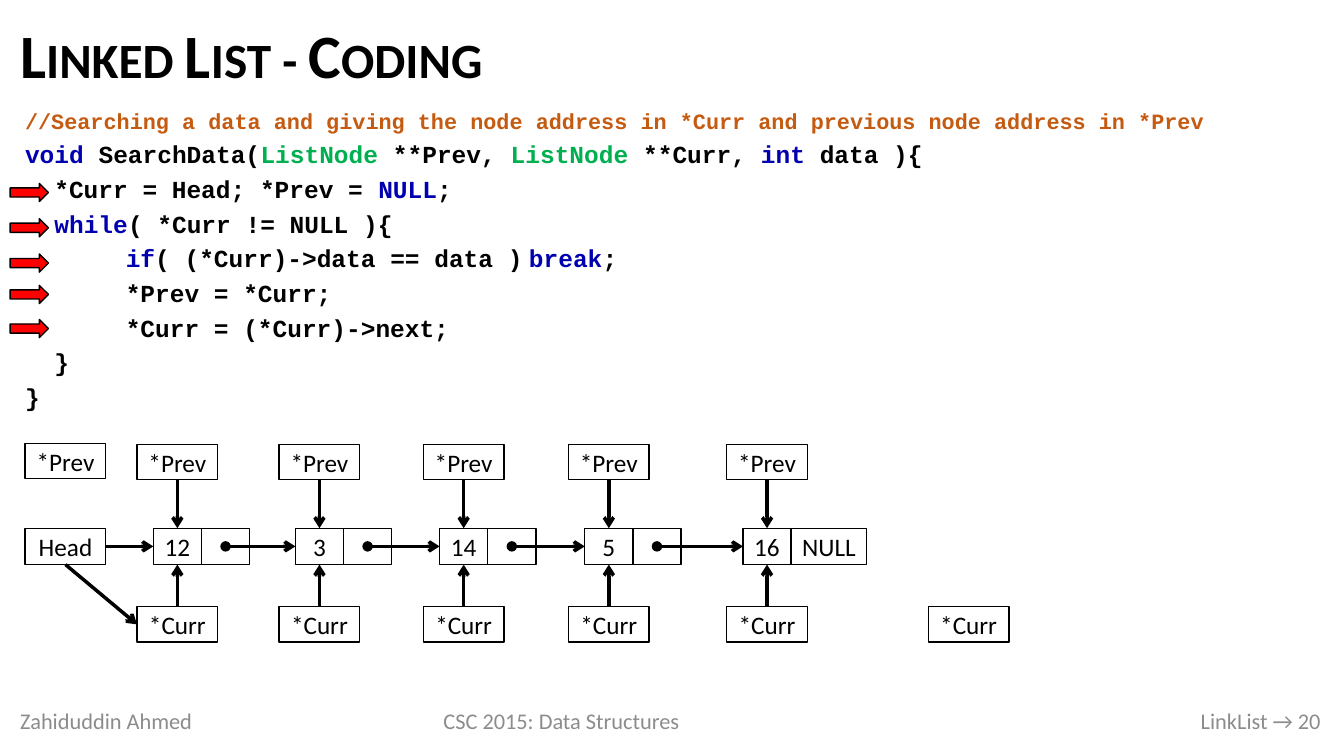
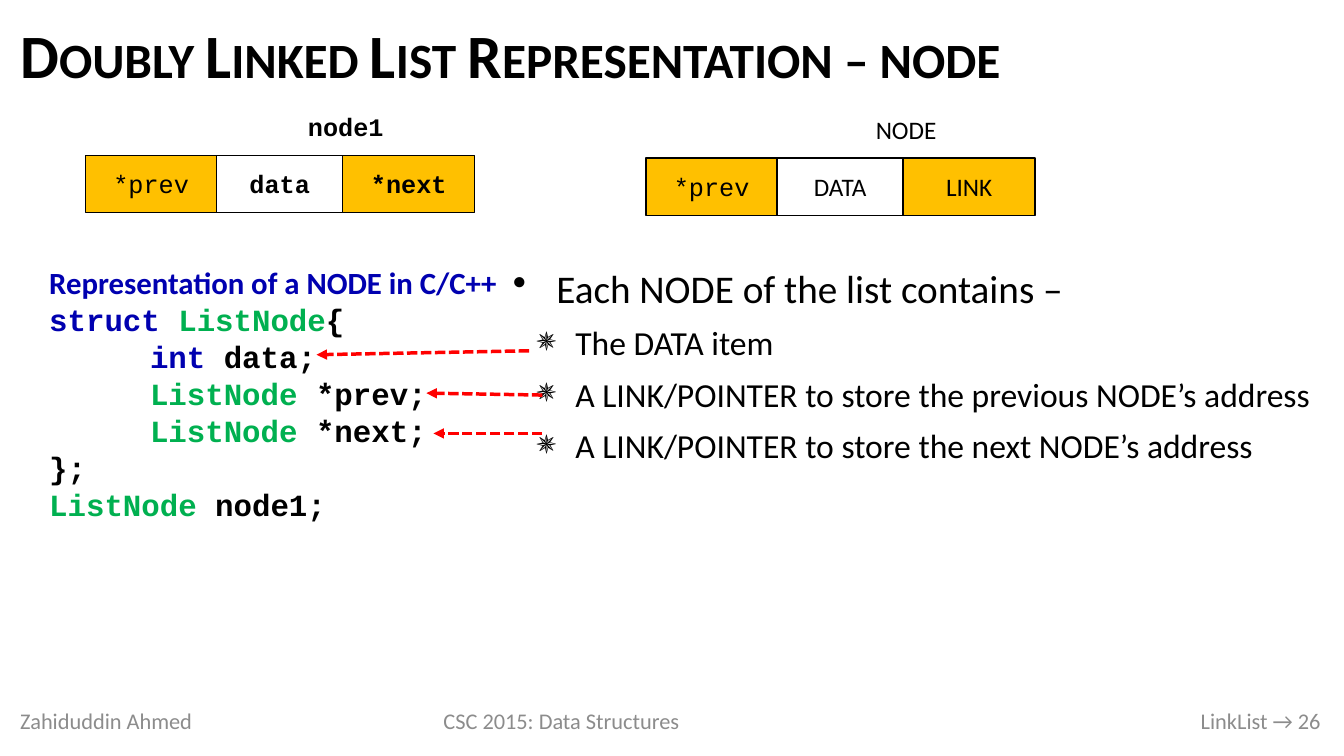
from dataclasses import dataclass
from typing import NamedTuple

from lxml.etree import SubElement
from pptx import Presentation
from pptx.dml.color import RGBColor
from pptx.enum.dml import MSO_LINE
from pptx.enum.shapes import MSO_CONNECTOR, MSO_SHAPE
from pptx.enum.text import MSO_ANCHOR, MSO_AUTO_SIZE, PP_ALIGN
from pptx.oxml.ns import qn
from pptx.util import Pt


@dataclass(frozen=True)
class Theme:
    """Colours, fonts and type sizes of the deck."""

    ink: RGBColor = RGBColor(0, 0, 0)
    white: RGBColor = RGBColor(255, 255, 255)
    gray: RGBColor = RGBColor(0x8C, 0x8C, 0x8C)
    blue: RGBColor = RGBColor(0, 0, 0xB0)
    green: RGBColor = RGBColor(0, 0xB0, 0x50)
    rust: RGBColor = RGBColor(0xC5, 0x5A, 0x11)
    red: RGBColor = RGBColor(255, 0, 0)
    gold: RGBColor = RGBColor(255, 0xC0, 0)
    sans: str = "Calibri"
    mono: str = "Courier New"
    title: float = 44
    lead: float = 28
    point: float = 24
    struct: float = 22
    label: float = 18
    code: float = 17.5
    foot: float = 16
    note: float = 15.6


THEME = Theme()


class Span(NamedTuple):
    """A run of text in one colour."""

    text: str
    color: RGBColor = THEME.ink


class Rect(NamedTuple):
    """A place on the slide, in points."""

    left: float
    top: float
    width: float
    height: float


@dataclass(frozen=True)
class Line:
    """One paragraph with its font and spacing."""

    spans: tuple[Span, ...]
    size: float = THEME.label
    font: str = THEME.sans
    bold: bool = False
    align: PP_ALIGN = PP_ALIGN.LEFT
    gap: float = 0
    pitch: float = 1
    tabs: tuple[float, ...] = ()
    bullet: str = ""
    margin: float = 0
    hang: float = 0


@dataclass(frozen=True)
class Cell:
    """One field of a drawn node."""

    text: str
    width: float
    fill: RGBColor | None = None
    font: str = THEME.sans
    bold: bool = False


def key(text: str) -> Span:
    """Colour a keyword."""
    return Span(text, THEME.blue)


def kind(text: str) -> Span:
    """Colour a type name."""
    return Span(text, THEME.green)


def points(rect: Rect) -> list[Pt]:
    """Turn a place into lengths."""
    return [Pt(value) for value in rect]


def fill_text(frame, lines: list[Line], anchor=MSO_ANCHOR.TOP) -> None:
    """Write paragraphs into a text frame."""
    frame.word_wrap = True
    frame.auto_size = MSO_AUTO_SIZE.NONE
    frame.vertical_anchor = anchor
    for index, line in enumerate(lines):
        para = frame.add_paragraph() if index else frame.paragraphs[0]
        props = para._p.get_or_add_pPr()
        if line.bullet:
            props.set("marL", str(Pt(line.margin)))
            props.set("indent", str(Pt(-line.hang)))
            SubElement(props, qn("a:buChar"), char=line.bullet)
        if line.tabs:
            stops = SubElement(props, qn("a:tabLst"))
            for stop in line.tabs:
                SubElement(stops, qn("a:tab"), pos=str(Pt(stop)), algn="l")
        para.alignment = line.align
        para.line_spacing = line.pitch
        para.space_before = Pt(line.gap if index else 0)
        para.space_after = Pt(line.gap)
        font = para.font
        font.name, font.size, font.bold = line.font, Pt(line.size), line.bold
        shades = {span.color for span in line.spans}
        if len(shades) == 1:
            font.color.rgb = shades.pop()
        for span in line.spans:
            run = para.add_run()
            run.text = span.text
            if len({item.color for item in line.spans}) > 1:
                run.font.color.rgb = span.color


def add_text(slide, rect: Rect, lines: list[Line], anchor=MSO_ANCHOR.TOP) -> None:
    """Add a text box."""
    fill_text(slide.shapes.add_textbox(*points(rect)).text_frame, lines, anchor)


def add_box(slide, rect: Rect, cell: Cell, form=MSO_SHAPE.RECTANGLE) -> None:
    """Add an outlined shape with a centred label."""
    shape = slide.shapes.add_shape(form, *points(rect))
    shape.shadow.inherit = False
    if cell.fill is None:
        shape.fill.background()
    else:
        shape.fill.solid()
        shape.fill.fore_color.rgb = cell.fill
    shape.line.color.rgb = THEME.ink
    shape.line.width = Pt(1)
    if cell.text:
        frame = shape.text_frame
        frame.margin_left = frame.margin_right = 0
        frame.margin_top = frame.margin_bottom = 0
        label = Line((Span(cell.text),), font=cell.font, bold=cell.bold,
                     align=PP_ALIGN.CENTER)
        fill_text(frame, [label], MSO_ANCHOR.MIDDLE)


def add_row(slide, left: float, top: float, height: float, cells: list[Cell]) -> None:
    """Draw cells side by side."""
    for cell in cells:
        add_box(slide, Rect(left, top, cell.width, height), cell)
        left += cell.width


def add_arrow(slide, start: tuple[float, float], end: tuple[float, float],
              color: RGBColor = THEME.ink, tip: str = "arrow",
              tail: str = "none", dash: bool = False) -> None:
    """Draw an arrow from start to end."""
    arrow = slide.shapes.add_connector(
        MSO_CONNECTOR.STRAIGHT, *(Pt(value) for value in (*start, *end)))
    arrow.line.color.rgb = color
    arrow.line.width = Pt(2.5)
    if dash:
        arrow.line.dash_style = MSO_LINE.SQUARE_DOT
    stroke = arrow.line._get_or_add_ln()
    SubElement(stroke, qn("a:headEnd"), type=tail)
    SubElement(stroke, qn("a:tailEnd"), type=tip)
    SubElement(arrow._element.spPr, qn("a:effectLst"))


def add_slide(deck, title: str, number: int):
    """Add a slide with its title and footer."""
    slide = deck.slides.add_slide(deck.slide_layouts[5])
    head = slide.shapes.title
    head.left, head.top, head.width, head.height = points(Rect(7.2, 7.9, 943.2, 68.4))
    fill_text(head.text_frame, [Line((Span(title),), THEME.title, bold=True, pitch=0.9)],
              MSO_ANCHOR.MIDDLE)
    head.text_frame.paragraphs[0].font._element.set("cap", "small")
    feet = [
        (7.2, 173.5, "Zahiduddin Ahmed", PP_ALIGN.LEFT),
        (280.1, 241.9, "CSC 2015: Data Structures", PP_ALIGN.CENTER),
        (555.1, 395.3, f"LinkList → {number}", PP_ALIGN.RIGHT),
    ]
    for left, width, text, align in feet:
        line = Line((Span(text, THEME.gray),), THEME.foot, align=align)
        add_text(slide, Rect(left, 500.4, width, 28.8), [line], MSO_ANCHOR.MIDDLE)
    return slide


def draw_search(deck) -> None:
    """Build the slide on searching a list."""
    slide = add_slide(deck, "Linked List - Coding", 20)
    note = Span("//Searching a data and giving the node address in *Curr "
                "and previous node address in *Prev", THEME.rust)
    code = [
        (note,),
        (key("void"), Span(" SearchData("), kind("ListNode"), Span(" **Prev, "),
         kind("ListNode"), Span(" **Curr, "), key("int"), Span(" data ){")),
        (Span("  *Curr = Head; *Prev = "), key("NULL"), Span(";")),
        (Span("  "), key("while"), Span("( *Curr != NULL ){")),
        (key("\tif"), Span("( (*Curr)->data == data )\t"), key("break"), Span(";")),
        (Span("\t*Prev = *Curr;"),),
        (Span("\t*Curr = (*Curr)->next;"),),
        (Span("  }"),),
        (Span("}"),),
    ]
    lines = [Line(spans, THEME.code if index else THEME.note, THEME.mono, True,
                  PP_ALIGN.JUSTIFY, gap=4, pitch=0.8, tabs=(72, 360))
             for index, spans in enumerate(code)]
    add_text(slide, Rect(10.8, 77, 938.9, 234), lines)

    wide, half, tall = 57.6, 34.4, 25.2
    top, high, above, below = 377.3, 26, 317.5, 433.4
    base, level = top + high, top + high / 2
    mids = [126.7, 228.2, 331.2, 434.9, 547.9]
    values = ["12", "3", "14", "5", "16"]
    white = THEME.white
    prev, curr = Cell("*Prev", wide, white), Cell("*Curr", wide, white)
    add_box(slide, Rect(18, top, wide, high), Cell("Head", wide, white))
    add_box(slide, Rect(18, 316.8, wide, tall), prev)
    add_box(slide, Rect(663.1, below, wide, tall), curr)
    for mid, value in zip(mids, values):
        last = mid == mids[-1]
        link = Cell("NULL", 54, white) if last else Cell("", half, white)
        add_row(slide, mid - half / 2, top, high, [Cell(value, half, white), link])
        add_box(slide, Rect(mid - wide / 2, above, wide, tall), prev)
        add_box(slide, Rect(mid - wide / 2, below, wide, tall), curr)
        add_arrow(slide, (mid, above + tall), (mid, top))
        add_arrow(slide, (mid, below), (mid, base))
    for mid, after in zip(mids, mids[1:]):
        add_arrow(slide, (mid + half, level), (after - half / 2, level), tail="oval")
    add_arrow(slide, (18 + wide, level), (mids[0] - half / 2, level))
    add_arrow(slide, (18 + wide / 2, base), (mids[0] - wide / 2, below + tall / 2))
    for mark in (131, 156.2, 181.4, 203.8, 228.2):
        add_box(slide, Rect(7.2, mark, 27.4, 13), Cell("", 27.4, THEME.red),
                MSO_SHAPE.RIGHT_ARROW)


def draw_node(deck) -> None:
    """Build the slide on the parts of a node."""
    slide = add_slide(deck, "Doubly Linked List Representation – node", 26)
    nodes = [
        (61.2, 110.9, "node1", "data", "*next", THEME.mono, True),
        (461.5, 113, "NODE", "DATA", "LINK", THEME.sans, False),
    ]
    for left, top, name, data, link, font, bold in nodes:
        cells = [Cell("*prev", 93.6, THEME.gold, THEME.mono),
                 Cell(data, 90, None, font, bold),
                 Cell(link, 94.3, THEME.gold, font, bold)]
        add_row(slide, left, top, 41, cells)
        label = Line((Span(name),), font=font, bold=bold, align=PP_ALIGN.CENTER)
        add_text(slide, Rect(left + 93.6, top - 41, 184.3, 41), [label],
                 MSO_ANCHOR.MIDDLE)

    lead = Line((Span("Each NODE of the list contains –"),), THEME.lead,
                align=PP_ALIGN.JUSTIFY, gap=4, bullet="•", margin=31, hang=31)
    items = ["The DATA item", "A LINK/POINTER to store the previous NODE’s address",
             "A LINK/POINTER to store the next NODE’s address"]
    parts = [Line((Span(item),), THEME.point, align=PP_ALIGN.JUSTIFY, gap=4,
                  bullet="✵", margin=44.6, hang=27.4) for item in items]
    add_text(slide, Rect(359.3, 185, 607.7, 183.6), [lead, *parts])

    code = [
        (key("struct "), kind("ListNode"), Span("{")),
        (Span("\t"), key("int"), Span(" data;")),
        (Span("\t"), kind("ListNode"), Span(" *prev;")),
        (Span("\t"), kind("ListNode"), Span(" *next;")),
        (Span("};"),),
        (kind("ListNode"), Span(" node1;")),
    ]
    head = Line((key("Representation of a NODE in C/C++"),), THEME.struct, bold=True)
    lines = [Line(spans, THEME.struct, THEME.mono, True, tabs=(72,)) for spans in code]
    add_text(slide, Rect(28.1, 185, 396, 193.7), [head, *lines])
    links = [((378, 250.6), (226.1, 253.4)), ((387.4, 282.2), (304.6, 280.8)),
             ((387.4, 309.6), (309.6, 309.6))]
    for start, end in links:
        add_arrow(slide, start, end, THEME.red, "triangle", dash=True)


def main() -> None:
    """Build and save the deck."""
    deck = Presentation()
    deck.slide_width, deck.slide_height = Pt(960), Pt(540)
    draw_search(deck)
    draw_node(deck)
    deck.save("out.pptx")


if __name__ == "__main__":
    main()
